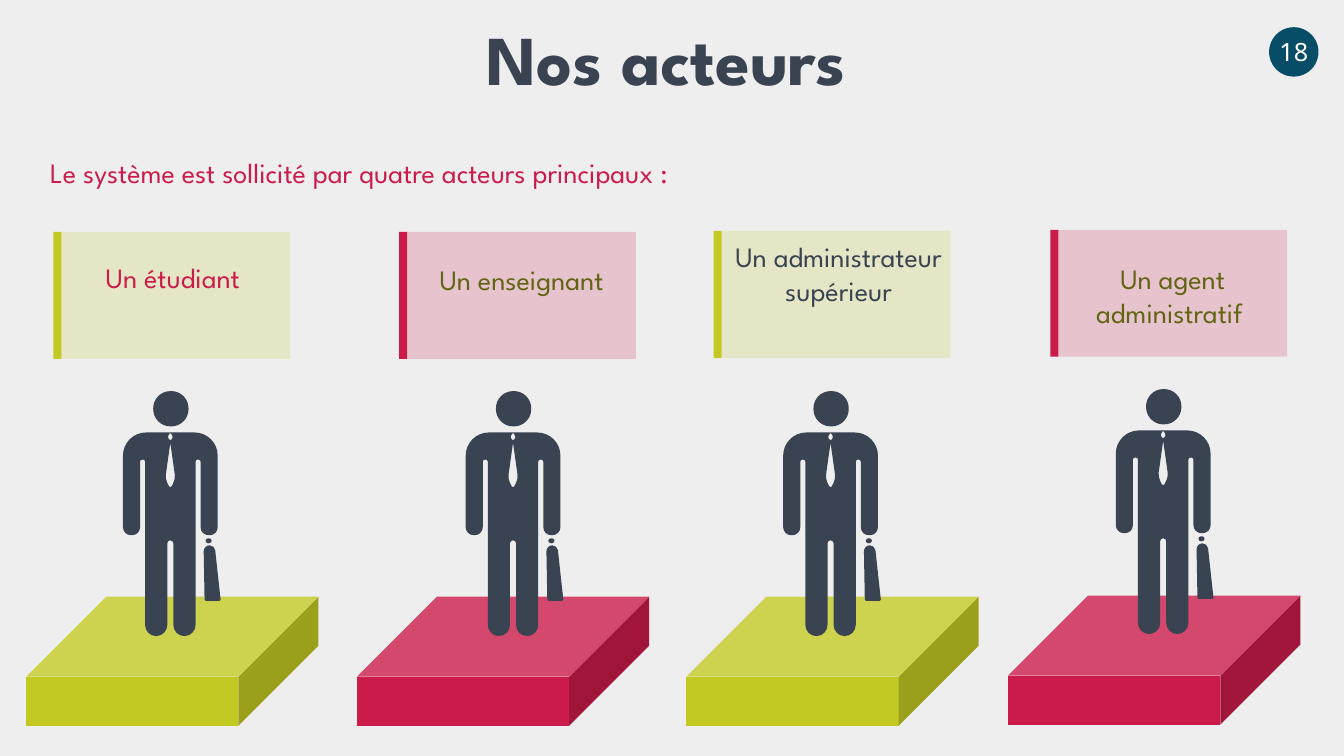
"""Build the slide that presents the four actors of the system."""
from lxml import etree
from pptx import Presentation
from pptx.dml.color import RGBColor
from pptx.enum.shapes import MSO_SHAPE
from pptx.enum.text import MSO_ANCHOR, MSO_AUTO_SIZE, PP_ALIGN
from pptx.oxml.ns import qn
from pptx.util import Inches, Pt

OVAL, RECTANGLE, CUBE = MSO_SHAPE.OVAL, MSO_SHAPE.RECTANGLE, MSO_SHAPE.CUBE
LEFT, CENTER, MIDDLE = PP_ALIGN.LEFT, PP_ALIGN.CENTER, MSO_ANCHOR.MIDDLE
GROW = MSO_AUTO_SIZE.SHAPE_TO_FIT_TEXT
BACKGROUND = RGBColor(0xEE, 0xEE, 0xEE)
WHITE = RGBColor(0xFF, 0xFF, 0xFF)
TEAL = RGBColor(0x07, 0x4D, 0x67)
SLATE = RGBColor(0x39, 0x43, 0x51)
LIME = RGBColor(0xC2, 0xC9, 0x23)
CRIMSON = RGBColor(0xCB, 0x1B, 0x4A)
OLIVE = RGBColor(0x61, 0x64, 0x12)

SUIT = [(0, 0, .23), (.94, 0, .23), (.94, 1.02, .08), (.77, 1.02, .08),
        (.77, .27, .02), (.72, .27, .02), (.72, 2.02, .11), (.5, 2.02, .11),
        (.5, 1.07, .03), (.44, 1.07, .03), (.44, 2.02, .11), (.22, 2.02, .11),
        (.22, .27, .02), (.17, .27, .02), (.17, 1.02, .08), (0, 1.02, .08)]
TIE = [(.47, .1, .02), (.42, .46, .04), (.47, .56, .03), (.52, .46, .04)]
KNOT = [(.47, 0, .01), (.44, .05, .02), (.47, .08, .01), (.5, .05, .02)]
HEAD = [(.3, -.41, .17), (.65, -.41, .17), (.65, -.06, .17), (.3, -.06, .17)]
BRIEFCASE = [(.97, 1.67, .01), (.81, 1.67, .01), (.8, 1.12, .06), (.91, 1.12, .05)]

ACTORS = [
    ("Un étudiant ", CRIMSON, LIME, .26, 5.92, 1.22, 4.29, .53, 2.3, (.55, 2.54, 2.4, .44)),
    ("Un enseignant", OLIVE, CRIMSON, 3.54, 5.92, 4.62, 4.29, 3.96, 2.3, (4.04, 2.56, 2.27, .44)),
    ("Un administrateur supérieur", SLATE, LIME, 6.81, 5.92, 7.77, 4.29, 7.08, 2.29,
     (7.12, 2.33, 2.4, 1.11)),
    ("Un agent administratif ", OLIVE, CRIMSON, 10, 5.91, 11.07, 4.27, 10.42, 2.28,
     (10.5, 2.55, 2.27, .77)),
]

deck = Presentation()
deck.slide_width, deck.slide_height = Inches(40 / 3), Inches(7.5)
page = deck.slides.add_slide(deck.slide_layouts[6])
page.background.fill.solid()
page.background.fill.fore_color.rgb = BACKGROUND


def write(text, box=None, at=None, size=20, color=SLATE, font="League Spartan",
          bold=False, align=CENTER, wrap=True):
    """Write text in a given shape or in a new text box."""
    if box is None:
        box = page.shapes.add_textbox(*map(Inches, at))
        box.text_frame.auto_size = GROW
    box.text_frame.word_wrap = wrap
    para = box.text_frame.paragraphs[0]
    para.alignment = align
    span = para.add_run()
    span.text = text
    span.font.size, span.font.name, span.font.bold = Pt(size), font, bold
    span.font.color.rgb = color


def draw(parent, color, at, kind=None, outlines=(), alpha=None):
    """Draw a preset shape, or outlines of (x, y, corner radius) from an origin."""
    if kind is not None:
        shape = parent.add_shape(kind, *map(Inches, at))
    else:
        builder = None
        for outline in outlines:
            points = []
            for index, (x, y, radius) in enumerate(outline):
                before, after = outline[index - 1], outline[(index + 1) % len(outline)]
                for (near_x, near_y, _), reach in ((before, 1), (before, .45), (after, .45), (after, 1)):
                    length = ((near_x - x) ** 2 + (near_y - y) ** 2) ** .5
                    pull = reach * radius / length
                    points.append((Inches(at[0] + x + pull * (near_x - x)),
                                   Inches(at[1] + y + pull * (near_y - y))))
            if builder is None:
                builder = parent.build_freeform(*points[0])
            else:
                builder.move_to(*points[0])
            builder.add_line_segments(points[1:], close=True)
        shape = builder.convert_to_shape()
        steps = list(shape.element.iter(qn("a:moveTo"), qn("a:lnTo")))
        for first, second, third in zip(steps[1::4], steps[2::4], steps[3::4]):
            curve = etree.Element(qn("a:cubicBezTo"))
            first.addprevious(curve)
            for step in (first, second, third):
                curve.append(step[0])
                step.getparent().remove(step)
    shape.shadow.inherit = False
    shape.line.fill.background()
    shape.fill.solid()
    shape.fill.fore_color.rgb = color
    if alpha:
        tint = shape.element.spPr.find(".//" + qn("a:srgbClr"))
        etree.SubElement(tint, qn("a:alpha")).set("val", str(alpha * 1000))
    return shape


badge = draw(page.shapes, TEAL, (12.59, .27, .49, .49), OVAL)
badge.text_frame.vertical_anchor = MIDDLE
write("18", badge, size=18, color=WHITE, font="Noto Sans", wrap=False)
write("Nos acteurs", at=(1.32, .11, 10.58, .94), size=50, bold=True)
write("Le système est sollicité par quatre acteurs principaux : ", at=(.4, 1.49, 7.7, .44),
      color=CRIMSON, align=LEFT, wrap=False)

for (label, ink, color, cube_x, cube_y, person_x, person_y,
     card_x, card_y, label_at) in ACTORS:
    pedestal = draw(page.shapes, color, (cube_x, cube_y, 2.9, 1.28), CUBE)
    pedestal.adjustments[0] = .62

    person = page.shapes.add_group_shape().shapes
    for outlines in ([SUIT, TIE, KNOT], [HEAD], [BRIEFCASE]):
        draw(person, SLATE, (person_x, person_y), outlines=outlines)
    draw(person, SLATE, (person_x + .82, person_y + 1.05, .06, .05), OVAL)

    draw(page.shapes, color, (card_x + .08, card_y, 2.27, 1.26), RECTANGLE, alpha=20)
    write(label, at=label_at, color=ink)
    draw(page.shapes, color, (card_x, card_y, .08, 1.26), RECTANGLE)

deck.save("out.pptx")
